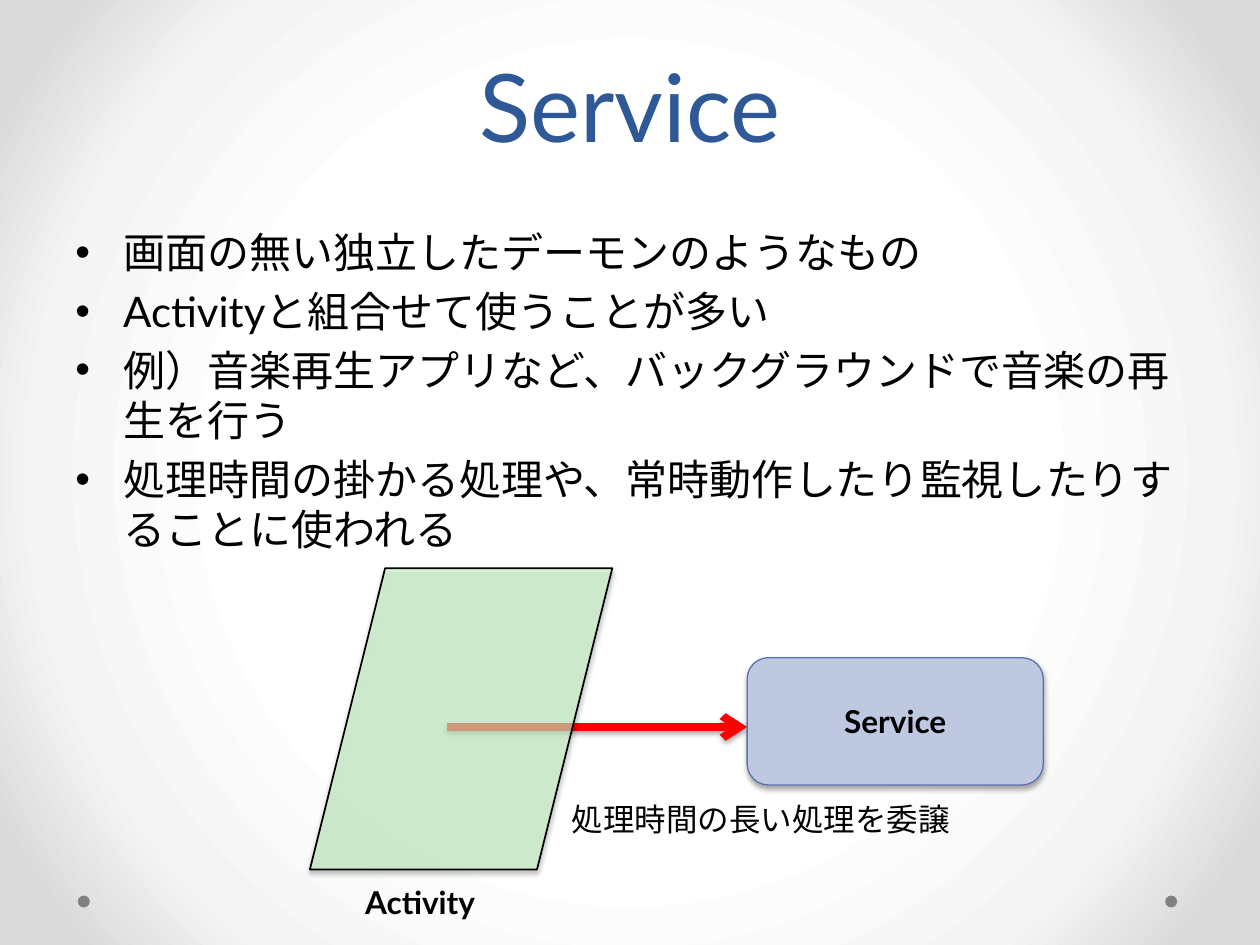
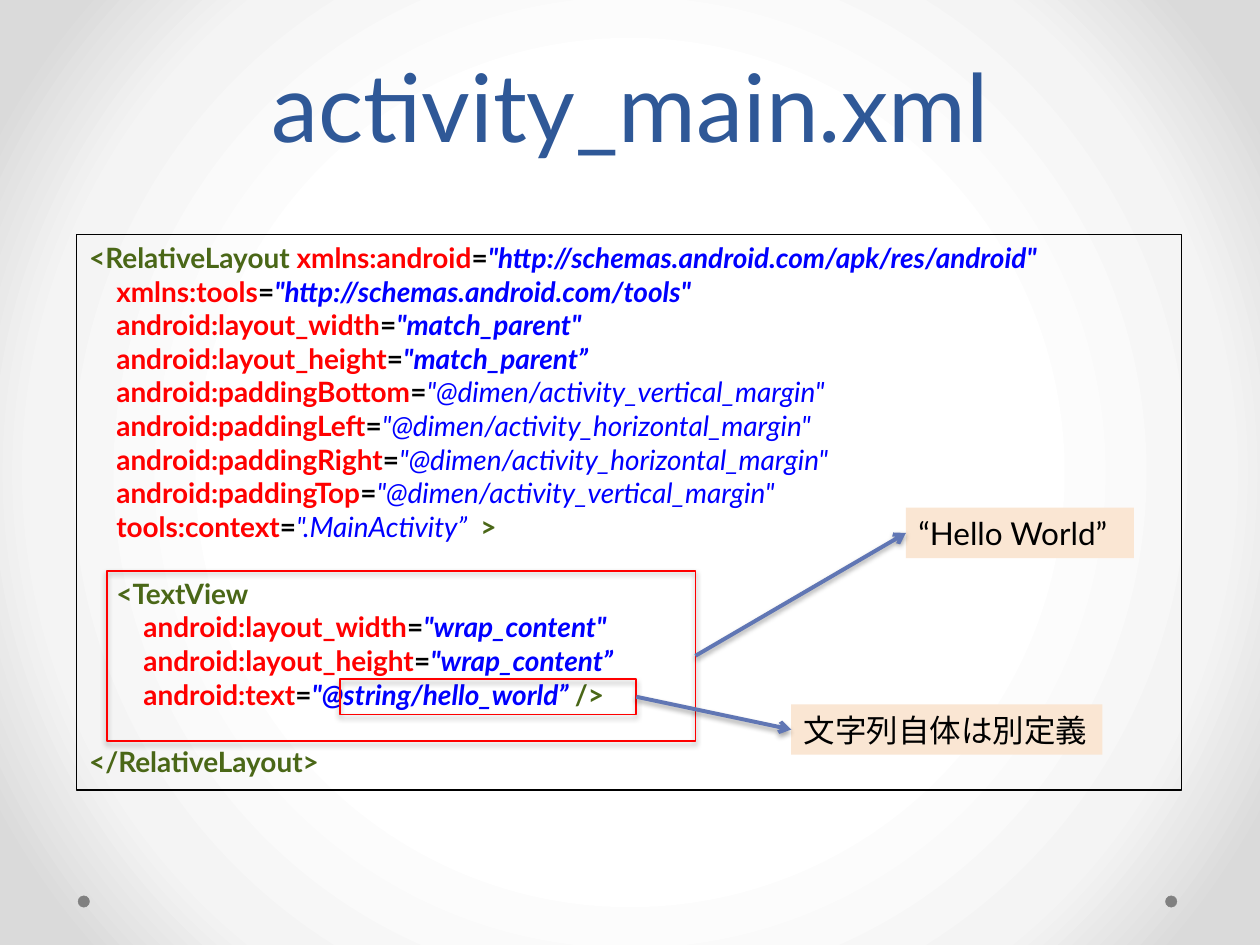
from dataclasses import dataclass

from lxml.etree import SubElement
from pptx import Presentation
from pptx.dml.color import RGBColor
from pptx.enum.lang import MSO_LANGUAGE_ID as Lang
from pptx.enum.shapes import MSO_CONNECTOR as Connector, MSO_SHAPE as Shape
from pptx.enum.text import MSO_ANCHOR as Anchor, PP_ALIGN as Align
from pptx.oxml import parse_xml
from pptx.oxml.ns import nsdecls, qn
from pptx.util import Inches, Pt

WIDTH, HEIGHT, MARGIN = 10, 7.5, 0.5
TITLE_HEIGHT = 1.75
LABEL_HEIGHT = 0.4
RIGHT, LEFT = 3, 1  # connection sites of a rectangle


@dataclass(frozen=True)
class Theme:
    font: str = "Lato"
    title_size: float = 54
    title_spacing: float = 58
    body_size: float = 24
    label_size: float = 18
    code_size: float = 16
    title: str = "2F5897"
    ink: str = "000000"
    red: str = "FF0000"
    tag: str = "4A6717"
    value: str = "0000FF"
    dot: str = "808080"
    screen: str = "D0FFCD"
    service: str = "BFC8E1"
    service_edge: str = "5C72B2"
    pointer: str = "6076B4"
    note: str = "FAE6D3"
    glow: tuple = ((50, "FFFFFF"), (76, "F4F4F4"), (92, "DADADA"))


THEME = Theme()

# Service slide
SERVICE_POINTS = [
    "画面の無い独立したデーモンのようなもの",
    "Activityと組合せて使うことが多い",
    "例）音楽再生アプリなど、バックグラウンドで音楽の再生を行う",
    "処理時間の掛かる処理や、常時動作したり監視したりすることに使われる",
]
ACTIVITY_AREA = (2.46, 4.51, 2.4, 2.39)
SERVICE_AREA = (5.93, 5.22, 2.35, 1.01)
DELEGATE_START, DELEGATE_END = (3.55, 5.77), (5.93, 5.77)
SERVICE_LABELS = [
    ("Activity", (2.8, 6.96, 1.11, LABEL_HEIGHT), True),
    ("処理時間の長い処理を委譲", (4.44, 6.3, 3.23, LABEL_HEIGHT), False),
]

# Layout file slide
CODE_STYLES = {
    "tag": dict(color=THEME.tag, bold=True),
    "name": dict(color=THEME.red, bold=True),
    "equals": dict(color=THEME.ink, bold=True),
    "value": dict(color=THEME.value, bold=True, italic=True),
    "resource": dict(color=THEME.value, italic=True),
}


def attribute(name, value, kind="value"):
    return [("name", name), ("equals", "="), (kind, value)]


CODE_LINES = [  # None stands for an empty row
    [("tag", "<RelativeLayout "),
     *attribute("xmlns:android", '"http://schemas.android.com/apk/res/android"')],
    attribute("    xmlns:tools", '"http://schemas.android.com/tools"'),
    attribute("    android:layout_width", '"match_parent"'),
    attribute("    android:layout_height", '"match_parent”'),
    *(attribute(f"    android:padding{side}",
                f'"@dimen/activity_{axis}_margin"', "resource")
      for side, axis in [("Bottom", "vertical"), ("Left", "horizontal"),
                         ("Right", "horizontal"), ("Top", "vertical")]),
    [*attribute("    tools:context", '".MainActivity”  ', "resource"), ("tag", ">")],
    None,
    [("tag", "    <TextView")],
    attribute("        android:layout_width", '"wrap_content"'),
    attribute("        android:layout_height", '"wrap_content”'),
    [*attribute("        android:text", '"@string/hello_world” '), ("tag", "/>")],
    None,
    [("tag", "</RelativeLayout>")],
]
CODE_AREA = (0.61, 1.86, 8.77, 4.41)
CALLOUTS = [  # framed code, note text, note area
    ((0.85, 4.53, 4.67, 1.35), "“Hello World”", (7.19, 4.03, 1.81, LABEL_HEIGHT)),
    ((2.7, 5.39, 2.35, 0.28), "文字列自体は別定義", (6.28, 5.59, 2.47, LABEL_HEIGHT)),
]


def inches(values):
    return [Inches(value) for value in values]


def add_span(para, text, size, color=THEME.ink, bold=False, italic=False):
    span = para.add_run()
    span.text = text
    font = span.font
    font.name, font.size, font.bold, font.italic = THEME.font, Pt(size), bold, italic
    font.color.rgb = RGBColor.from_string(color)
    font.language_id = Lang.JAPANESE


def write(box, lines, size, align=Align.LEFT, anchor=Anchor.TOP, wrap=True,
          bullet=False, spacing=None, gap=0, **style):
    """Fill a box; a line is a string or a list of (code style, text), None a gap."""
    frame = box.text_frame
    frame.word_wrap, frame.vertical_anchor = wrap, anchor
    para, skipped = None, 0
    for line in lines:
        if line is None:
            skipped += size * 1.2
            continue
        before = (gap if para else 0) + skipped
        para = frame.add_paragraph() if para else frame.paragraphs[0]
        skipped = 0
        if bullet:
            props = para._p.get_or_add_pPr()
            props.set("marL", str(Inches(0.38)))
            props.set("indent", str(-Inches(0.38)))
            SubElement(props, qn("a:buFont"), typeface="Arial")
            SubElement(props, qn("a:buChar"), char="•")
        para.alignment = align
        para.space_before = Pt(before)
        if spacing:
            para.line_spacing = Pt(spacing)
        if isinstance(line, str):
            add_span(para, line, size, **style)
        else:
            for kind, text in line:
                add_span(para, text, size, **CODE_STYLES[kind])


def add_effects(item, shadow_distance=None):
    """Clear the inherited shadow, then add a soft one below if asked."""
    props = item._element.spPr
    effects = props.find(qn("a:effectLst"))
    if effects is None:
        effects = SubElement(props, qn("a:effectLst"))
    if shadow_distance:
        shadow = SubElement(effects, qn("a:outerShdw"), blurRad=str(Pt(3.1)),
                            dist=str(Pt(shadow_distance)), dir="5400000",
                            rotWithShape="0")
        black = SubElement(shadow, qn("a:srgbClr"), val=THEME.ink)
        SubElement(black, qn("a:alpha"), val="35000")


def add_box(page, kind, area, fill=None, edge=None, weight=1, shadow=False, opacity=None):
    box = page.shapes.add_shape(kind, *inches(area))
    box.shadow.inherit = False
    if fill:
        box.fill.solid()
        box.fill.fore_color.rgb = RGBColor.from_string(fill)
        if opacity:
            color = box._element.spPr.find(qn("a:solidFill"))[0]
            SubElement(color, qn("a:alpha"), val=str(opacity * 1000))
    else:
        box.fill.background()
    if edge:
        box.line.color.rgb = RGBColor.from_string(edge)
        box.line.width = Pt(weight)
    else:
        box.line.fill.background()
    if shadow:
        add_effects(box, 1.8)
    return box


def add_text(page, area, lines, size, **style):
    box = page.shapes.add_textbox(*inches(area))
    write(box, lines, size, **style)


def add_arrow(page, start, end, color, weight):
    arrow = page.shapes.add_connector(Connector.STRAIGHT, *inches(start + end))
    arrow.line.color.rgb = RGBColor.from_string(color)
    arrow.line.width = Pt(weight)
    SubElement(arrow.line._ln, qn("a:tailEnd"), type="arrow")
    add_effects(arrow, 1.6)
    return arrow


def side_middle(area, side):
    left, top, width, height = area
    return (left + (width if side == RIGHT else 0), top + height / 2)


def set_glow(master):
    """Give every page the round gradient backdrop."""
    master.background.fill.solid()
    backdrop = master.element.find(".//" + qn("p:bgPr"))
    stops = "".join(f'<a:gs pos="{pos * 1000}"><a:srgbClr val="{color}"/></a:gs>'
                    for pos, color in THEME.glow)
    backdrop.replace(backdrop[0], parse_xml(
        f'<a:gradFill {nsdecls("a")} rotWithShape="1"><a:gsLst>{stops}</a:gsLst>'
        '<a:path path="circle"><a:fillToRect l="50000" t="50000" r="50000" b="50000"/>'
        '</a:path></a:gradFill>'))


def add_page(deck, title):
    page = deck.slides.add_slide(deck.slide_layouts[6])
    for left in (9.25, 0.62):
        add_box(page, Shape.OVAL, (left, 7.11, 0.09, 0.09), fill=THEME.dot,
                edge=THEME.dot, weight=0.25)
    add_text(page, (MARGIN, 0, WIDTH - 2 * MARGIN, TITLE_HEIGHT), [title],
             THEME.title_size, color=THEME.title, align=Align.CENTER,
             anchor=Anchor.MIDDLE, spacing=THEME.title_spacing)
    return page


def build_service(deck):
    page = add_page(deck, "Service")
    add_arrow(page, DELEGATE_START, DELEGATE_END, THEME.red, 4.5)
    add_text(page, (MARGIN, TITLE_HEIGHT, WIDTH - 2 * MARGIN, 4.95), SERVICE_POINTS,
             THEME.body_size, bullet=True, gap=THEME.body_size * 0.2)
    add_box(page, Shape.PARALLELOGRAM, ACTIVITY_AREA, fill=THEME.screen,
            edge=THEME.ink, shadow=True, opacity=60)
    service = add_box(page, Shape.ROUNDED_RECTANGLE, SERVICE_AREA, fill=THEME.service,
                      edge=THEME.service_edge, weight=0.75, shadow=True)
    write(service, ["Service"], THEME.label_size, bold=True, align=Align.CENTER,
          anchor=Anchor.MIDDLE)
    for text, area, bold in SERVICE_LABELS:
        add_text(page, area, [text], THEME.label_size, bold=bold, wrap=False)


def build_layout_file(deck):
    page = add_page(deck, "activity_main.xml")
    code = add_box(page, Shape.RECTANGLE, CODE_AREA, edge=THEME.ink, weight=0.75)
    write(code, CODE_LINES, THEME.code_size)
    for frame_area, text, note_area in CALLOUTS:
        frame = add_box(page, Shape.RECTANGLE, frame_area, edge=THEME.red, shadow=True)
        note = add_box(page, Shape.RECTANGLE, note_area, fill=THEME.note)
        write(note, [text], THEME.label_size, wrap=False)
        arrow = add_arrow(page, side_middle(frame_area, RIGHT),
                          side_middle(note_area, LEFT), THEME.pointer, 2.25)
        arrow.begin_connect(frame, RIGHT)
        arrow.end_connect(note, LEFT)


def main():
    deck = Presentation()
    deck.slide_width, deck.slide_height = Inches(WIDTH), Inches(HEIGHT)
    set_glow(deck.slide_master)
    build_service(deck)
    build_layout_file(deck)
    deck.save("out.pptx")


if __name__ == "__main__":
    main()
